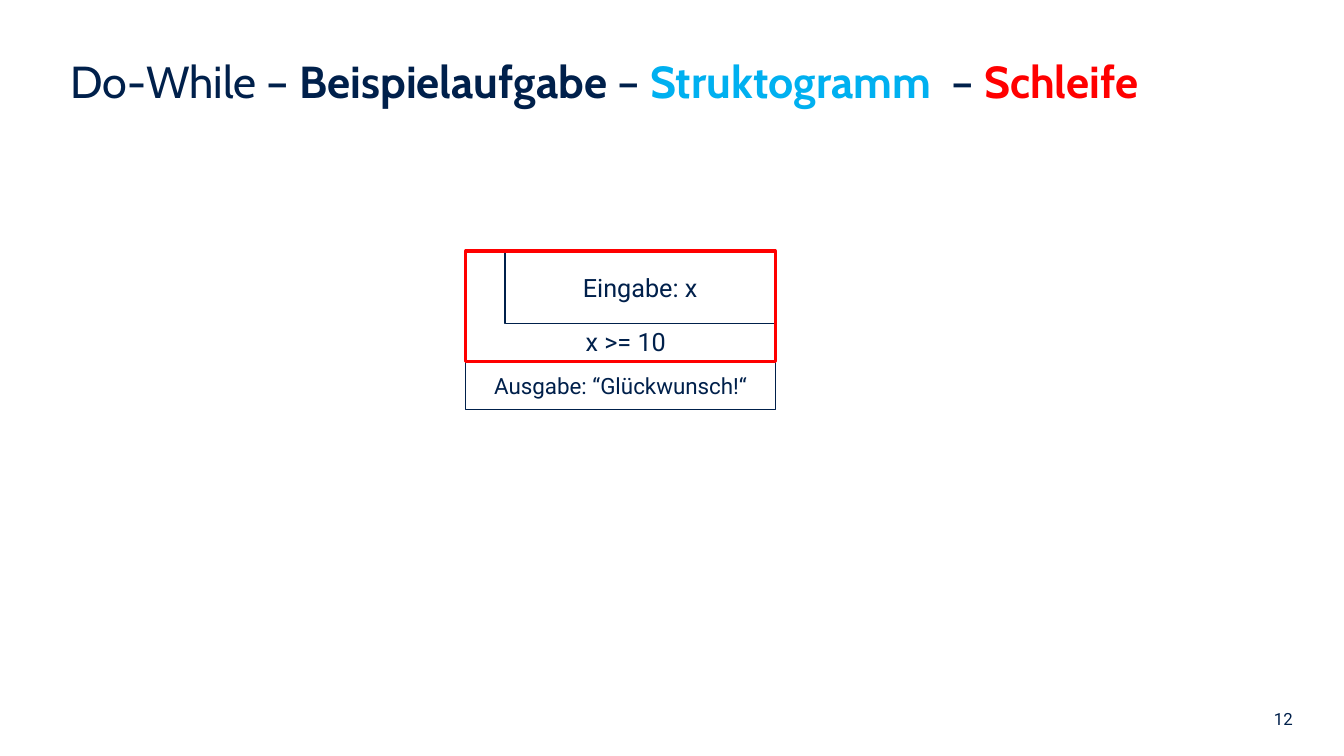
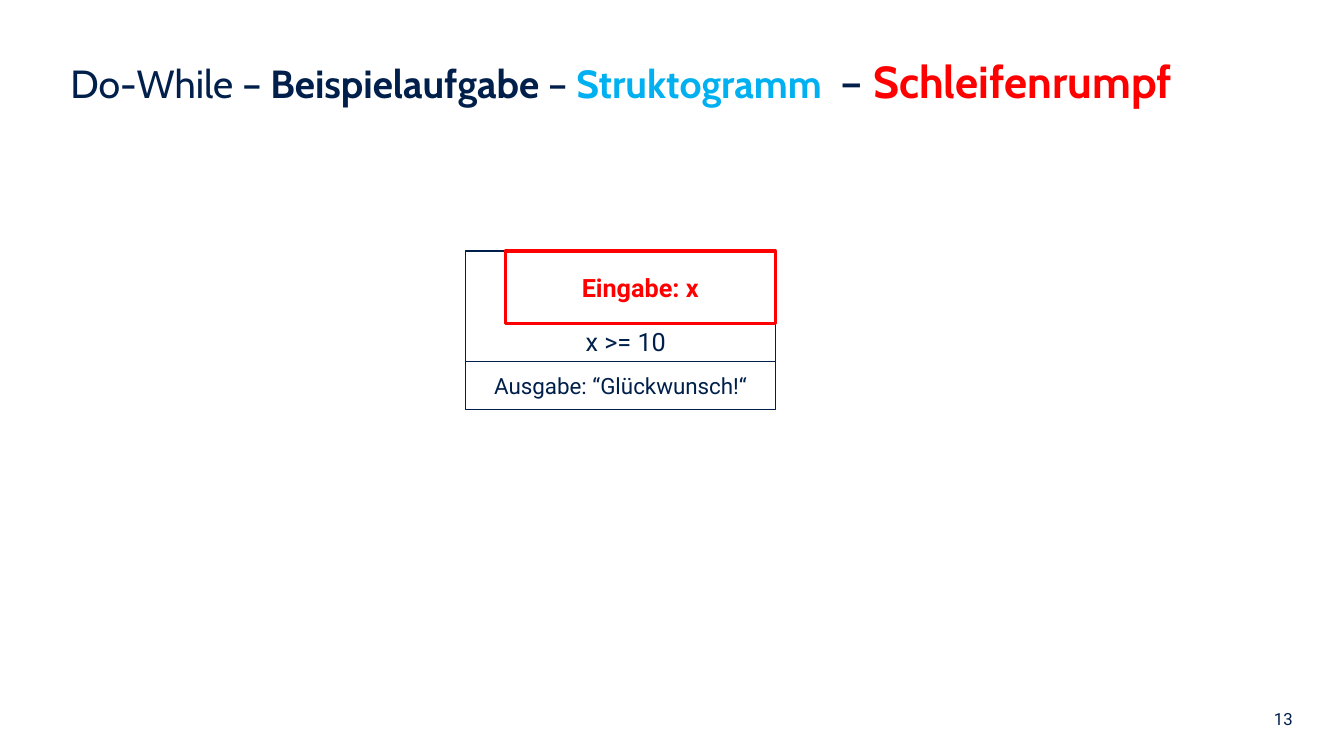
from dataclasses import dataclass

from pptx import Presentation
from pptx.dml.color import RGBColor
from pptx.enum import shapes, text
from pptx.util import Inches, Pt


@dataclass(frozen=True)
class Theme:
    navy: RGBColor = RGBColor(0x00, 0x20, 0x4B)
    sky: RGBColor = RGBColor(0x00, 0xB0, 0xF0)
    red: RGBColor = RGBColor(0xFF, 0x00, 0x00)
    white: RGBColor = RGBColor(0xFF, 0xFF, 0xFF)
    title_font: str = "Cabin"
    body_font: str = "Roboto"
    title_size: int = 32
    small_title_size: int = 28
    body_size: int = 18
    output_size: int = 16
    number_size: int = 12
    thin: float = 0.85
    thick: float = 2.25


THEME = Theme()

# The highlighted part is either the whole loop or only its body.
SLIDES = [
    {"number": 12, "topic": "Schleife", "highlight": "loop",
     "lead_size": THEME.title_size},
    {"number": 13, "topic": "Schleifenrumpf", "highlight": "body",
     "lead_size": THEME.small_title_size},
]
TITLE_LEAD = [
    ("Do-While – ", THEME.navy, False),
    ("Beispielaufgabe ", THEME.navy, True),
    ("– ", THEME.navy, False),
    ("Struktogramm ", THEME.sky, True),
]
BODY_TEXT = "Eingabe: x"
CONDITION_TEXT = "x >= 10"
OUTPUT_TEXT = "Ausgabe: “Glückwunsch!“"

# Boxes are left, top, width, height in inches.
TITLE_BOX = (0.6, 0.48, 12.18, 0.79)
NUMBER_BOX = (8.45, 6.98, 4.47, 0.4)
CONDITION_BOX = (5.71, 3.19, 1.04, 0.4)
LEFT, TOP, WIDTH = 4.62, 2.49, 3.07
LOOP_HEIGHT, BODY_HEIGHT, OUTPUT_HEIGHT = 1.1, 0.72, 0.47
STEM = 0.39  # width of the loop's left bar
LOOP_BOX = (LEFT, TOP, WIDTH, LOOP_HEIGHT)
BODY_BOX = (LEFT + STEM, TOP, WIDTH - STEM, BODY_HEIGHT)
OUTPUT_BOX = (LEFT, TOP + LOOP_HEIGHT, WIDTH, OUTPUT_HEIGHT)
HIGHLIGHTS = {"loop": LOOP_BOX, "body": BODY_BOX}


def inches(box):
    return [Inches(value) for value in box]


def style(font, name, size, color, bold=False):
    font.name, font.size, font.bold = name, Pt(size), bold
    font.color.rgb = color


def add_text(slide, box, words, size, align=text.PP_ALIGN.LEFT, wrap=True):
    frame = slide.shapes.add_textbox(*inches(box)).text_frame
    frame.word_wrap = wrap
    paragraph = frame.paragraphs[0]
    paragraph.text, paragraph.alignment = words, align
    style(paragraph.font, THEME.body_font, size, THEME.navy)


def add_block(slide, box, kind=shapes.MSO_SHAPE.RECTANGLE):
    block = slide.shapes.add_shape(kind, *inches(box))
    block.shadow.inherit = False
    block.fill.solid()
    block.fill.fore_color.rgb = THEME.white
    block.line.color.rgb = THEME.navy
    block.line.width = Pt(THEME.thin)
    return block


def label(block, words, size, color=THEME.navy, bold=False):
    frame = block.text_frame
    frame.vertical_anchor = text.MSO_ANCHOR.MIDDLE
    paragraph = frame.paragraphs[0]
    paragraph.text, paragraph.alignment = words, text.PP_ALIGN.CENTER
    style(paragraph.font, THEME.body_font, size, color, bold)


def add_title(slide, topic, lead_size):
    frame = slide.shapes.add_textbox(*inches(TITLE_BOX)).text_frame
    frame.word_wrap = True
    parts = [(*part, lead_size) for part in TITLE_LEAD]
    parts += [(" – ", THEME.navy, False, THEME.title_size),
              (topic, THEME.red, True, THEME.title_size)]
    for words, color, bold, size in parts:
        run = frame.paragraphs[0].add_run()
        run.text = words
        style(run.font, THEME.title_font, size, color, bold)


def add_structogram(slide, highlight):
    loop = add_block(slide, LOOP_BOX, shapes.MSO_SHAPE.CORNER)
    loop.adjustments[0] = (LOOP_HEIGHT - BODY_HEIGHT) / LOOP_HEIGHT
    loop.adjustments[1] = STEM / LOOP_HEIGHT
    add_text(slide, CONDITION_BOX, CONDITION_TEXT, THEME.body_size, wrap=False)

    in_focus = highlight == "body"
    body = add_block(slide, BODY_BOX)
    label(body, BODY_TEXT, THEME.body_size,
          THEME.red if in_focus else THEME.navy, in_focus)
    label(add_block(slide, OUTPUT_BOX), OUTPUT_TEXT, THEME.output_size)

    marker = add_block(slide, HIGHLIGHTS[highlight])
    marker.fill.background()
    marker.line.color.rgb = THEME.red
    marker.line.width = Pt(THEME.thick)


def main():
    deck = Presentation()
    deck.slide_width, deck.slide_height = Inches(13.33), Inches(7.5)
    for content in SLIDES:
        slide = deck.slides.add_slide(deck.slide_layouts[6])
        add_title(slide, content["topic"], content["lead_size"])
        add_structogram(slide, content["highlight"])
        add_text(slide, NUMBER_BOX, str(content["number"]),
                 THEME.number_size, text.PP_ALIGN.RIGHT)
    deck.save("out.pptx")


if __name__ == "__main__":
    main()
